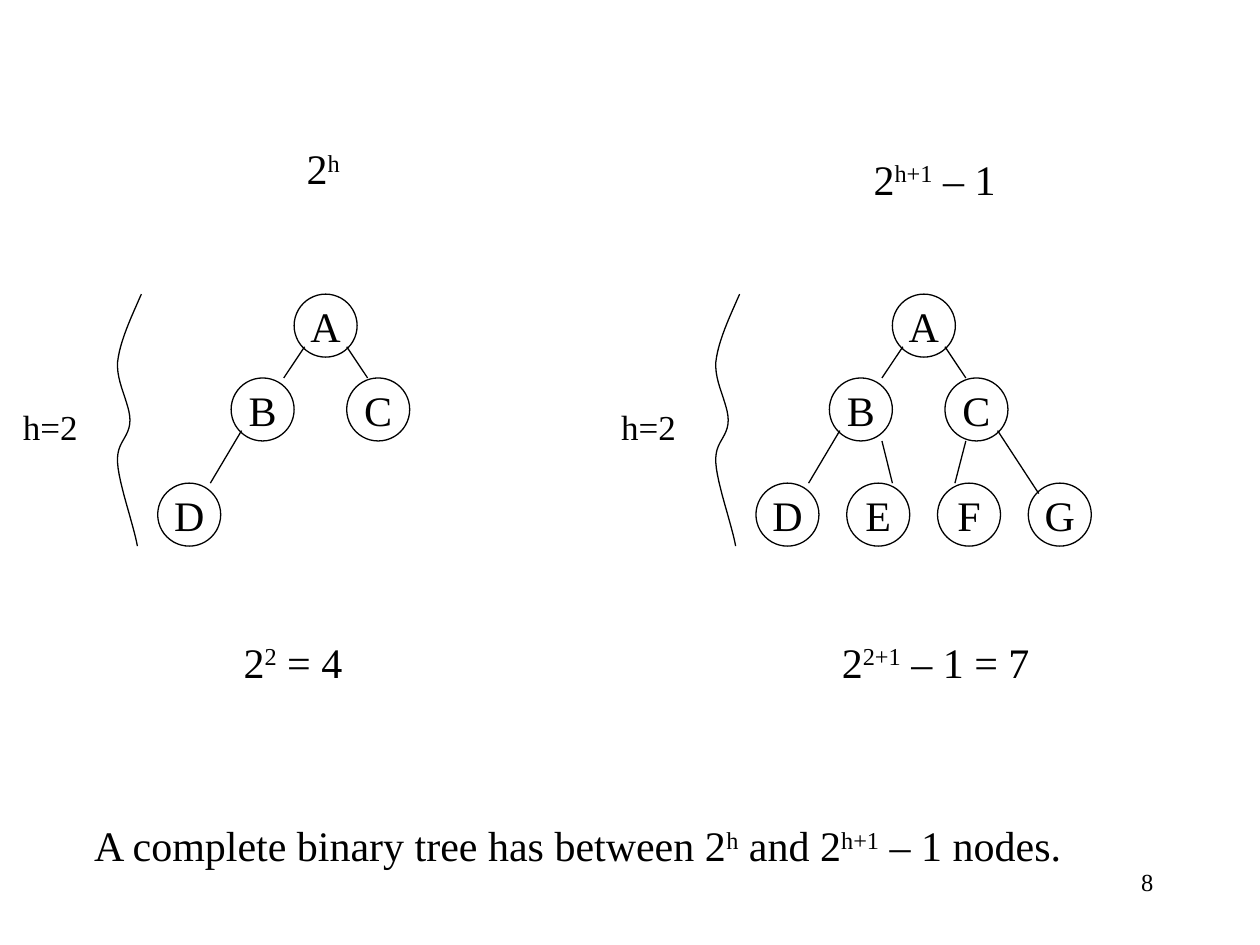
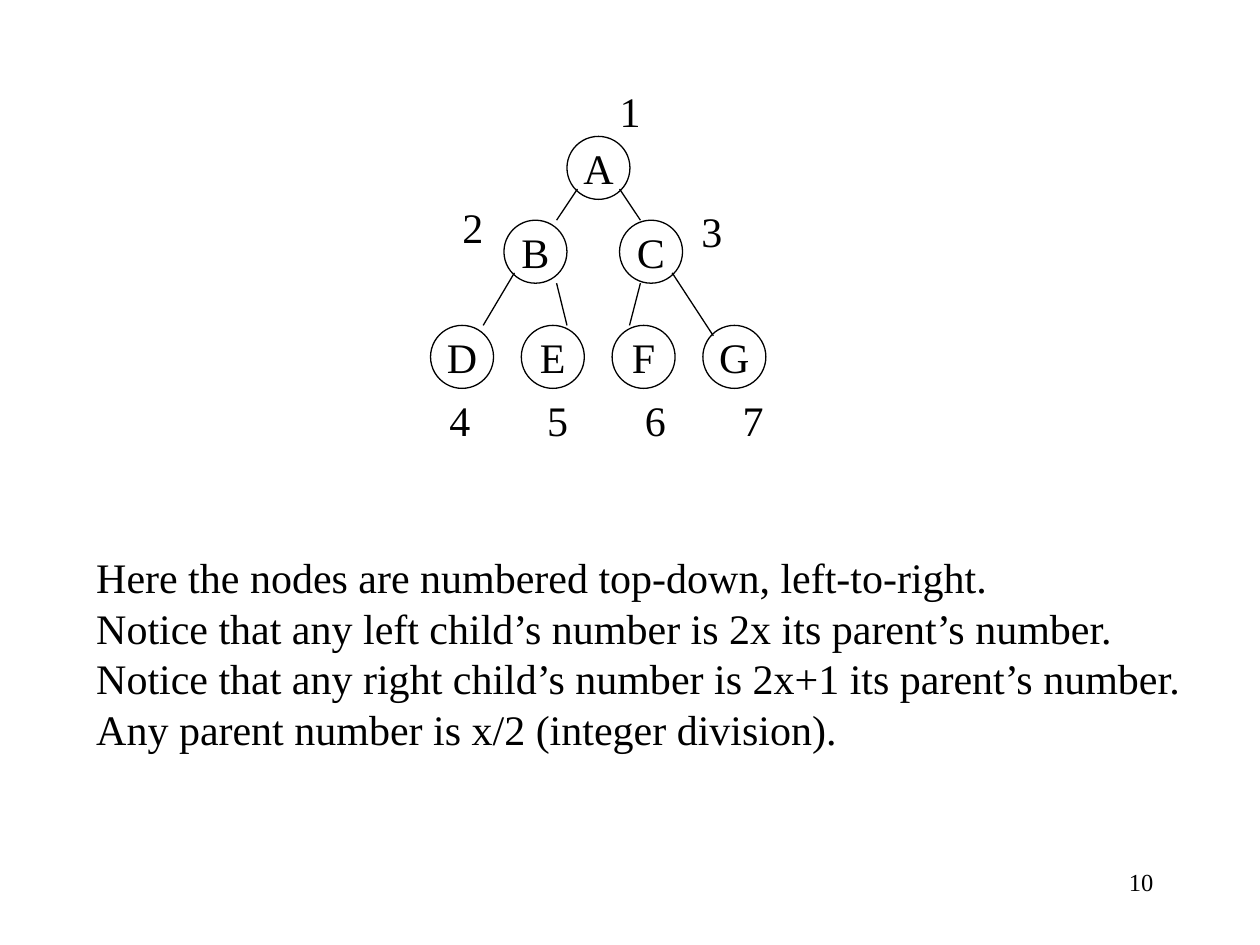
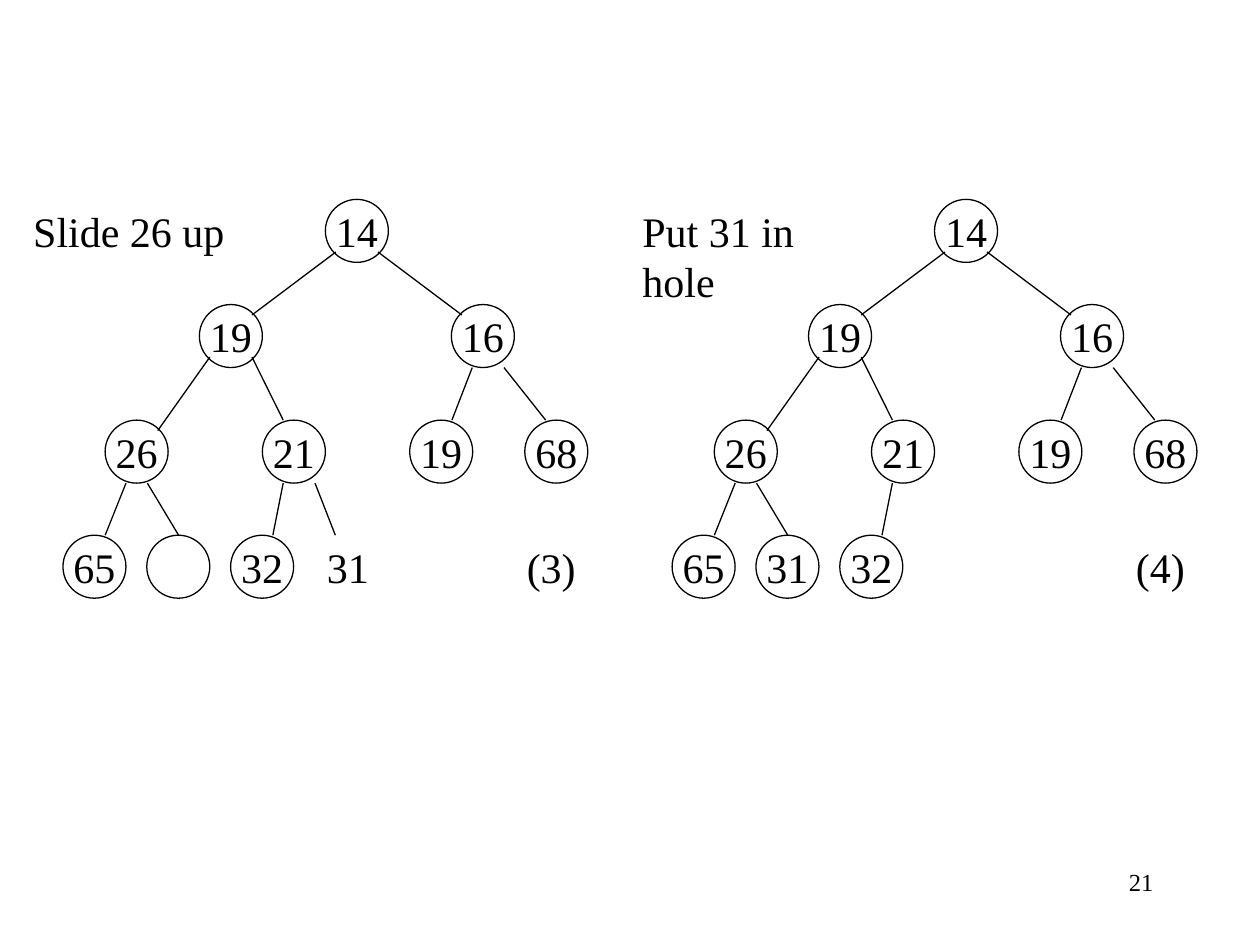
"""Build three slides on complete binary trees and heaps."""
from dataclasses import dataclass

from lxml import etree
from pptx import Presentation
from pptx import util as u
from pptx.dml.color import RGBColor
from pptx.enum import shapes, text
from pptx.oxml.ns import qn


@dataclass(frozen=True)
class Theme:
    font: str = "Times New Roman"
    ink: RGBColor = RGBColor(0, 0, 0)
    body: int = 24
    height: int = 20
    number: int = 14
    rule: float = 0.75
    node: float = 1.27
    line: float = 1.27


THEME = Theme()

SMALL_TREE = {
    "places": {1: (2.75, 0), 2: (1.48, 1.69), 3: (3.81, 1.69),
               **{4 + i: (1.83 * i, 3.81) for i in range(4)}},
    "ports": {2: ((0.21, 1.06), (1.06, 0)), 3: ((1.06, 1.06), (0.42, 0)),
              4: ((0.21, 1.06), (1.06, 0)), 5: ((1.06, 1.27), (0.92, 0)),
              6: ((0.42, 1.27), (0.35, 0)), 7: ((1.06, 1.06), (0.21, 0.21))},
}
HEAP = {
    "places": {1: (5.29, 0), 2: (2.75, 2.12), 3: (7.83, 2.12),
               4: (0.85, 4.45), 5: (4.02, 4.45), 6: (6.99, 4.45), 7: (9.31, 4.45),
               **{8 + i: (1.69 * i, 6.77) for i in range(4)}},
    "ports": {2: ((0.21, 1.06), (1.06, 0.21)), 3: ((1.06, 1.06), (0.21, 0.21)),
              4: ((0.21, 1.06), (1.06, 0.21)), 5: ((1.06, 1.06), (0.42, 0)),
              6: ((0.42, 1.27), (0.85, 0)), 7: ((1.06, 1.27), (0.42, 0)),
              8: ((0.42, 1.27), (0.85, 0)), 9: ((0.85, 1.27), (0.64, 0)),
              10: ((0.42, 1.27), (0.85, 0)), 11: ((1.06, 1.27), (0.42, 0))},
}
BRACE_START = (0.51, 0)
BRACE_CURVES = [
    ((0.3, 0.48), (0.08, 0.94), (0.03, 1.37)),
    ((0, 1.78), (0.28, 2.21), (0.28, 2.54)),
    ((0.28, 2.9), (0, 2.97), (0.03, 3.4)),
    ((0.05, 3.81), (0.36, 4.67), (0.43, 5.08)),
]

SLIDES = [
    {"number": "8",
     "trees": [
         {"form": SMALL_TREE, "at": (3.18, 5.93), "labels": "ABCD", "height": "h=2"},
         {"form": SMALL_TREE, "at": (15.24, 5.93), "labels": "ABCDEFG", "height": "h=2"}],
     "notes": [
         ((5.93, 2.75, 1.22), ["2^h"]),
         ((4.66, 12.7, 2.54), ["2^2^ = 4"]),
         ((17.36, 2.96, 3.1), ["2^h+1^ – 1"]),
         ((16.72, 12.7, 4.42), ["2^2+1^ – 1 = 7"]),
         ((1.65, 16.4, 20.4),
          ["A complete binary tree has between 2^h^ and 2^h+1^ – 1 nodes. "])]},
    {"number": "10",
     "trees": [{"form": SMALL_TREE, "at": (8.68, 2.75), "labels": "ABCDEFG"}],
     "notes": [
         ((1.69, 11, 22.48),
          ["Here the nodes are numbered top-down, left-to-right.",
           "Notice that any left child’s number is 2x its parent’s number.",
           "Notice that any right child’s number is 2x+1 its parent’s number.",
           "Any parent number is x/2 (integer division)."]),
         ((12.24, 1.6, 0.94), ["1"]),
         ((9.07, 3.94, 0.94), ["2"]),
         ((13.89, 4.01, 0.94), ["3"]),
         *[((8.81 + 1.97 * i, 7.82, 0.94), [str(4 + i)]) for i in range(4)]]},
    {"number": "21",
     "trees": [
         {"form": HEAP, "at": (1.27, 4.02), "loose": 11,
          "labels": ["14", "19", "16", "26", "21", "19", "68", "65", "", "32", "31"]},
         {"form": HEAP, "at": (13.55, 4.02),
          "labels": ["14", "19", "16", "26", "21", "19", "68", "65", "31", "32"]}],
     "notes": [
         ((10.37, 10.79, 1.5), ["(3)"]),
         ((22.65, 10.79, 1.5), ["(4)"]),
         ((0.42, 4.02, 4.37), ["Slide 26 up"]),
         ((12.7, 4.02, 3.56), ["Put 31 in", "hole"])]},
]


def shift(origin, offset):
    return origin[0] + offset[0], origin[1] + offset[1]


def cm(*lengths):
    return [u.Cm(length) for length in lengths]


def write(paragraph, words, size=THEME.body, align=text.PP_ALIGN.LEFT):
    paragraph.alignment = align
    for order, part in enumerate(words.split("^")):
        if part:
            run = paragraph.add_run()
            run.text = part
            run.font.name = THEME.font
            run.font.size = u.Pt(size)
            run.font.color.rgb = THEME.ink
            if order % 2:
                run.font._element.set("baseline", "30000")


def add_note(slide, place, lines, size=THEME.body, align=text.PP_ALIGN.LEFT, wrap=False):
    left, top, width = place
    tall = 0.25 + len(lines) * size * 0.0423
    frame = slide.shapes.add_textbox(*cm(left, top, width, tall)).text_frame
    frame.word_wrap = wrap
    if not wrap:
        frame.auto_size = text.MSO_AUTO_SIZE.SHAPE_TO_FIT_TEXT
    for order, words in enumerate(lines):
        write(frame.add_paragraph() if order else frame.paragraphs[0], words, size, align)


def ink_line(shape):
    shape.line.color.rgb = THEME.ink
    shape.line.width = u.Pt(THEME.rule)


def add_node(slide, place, label):
    node = slide.shapes.add_shape(
        shapes.MSO_SHAPE.OVAL, *cm(*place, THEME.node, THEME.node))
    node.shadow.inherit = False
    node.fill.background()
    ink_line(node)
    frame = node.text_frame
    frame.word_wrap = False
    frame.vertical_anchor = text.MSO_ANCHOR.MIDDLE
    write(frame.paragraphs[0], label, align=text.PP_ALIGN.CENTER)


def add_branch(slide, start, end):
    branch = slide.shapes.add_connector(
        shapes.MSO_CONNECTOR.STRAIGHT, *cm(*start, *end))
    ink_line(branch)
    etree.SubElement(branch._element.spPr, qn("a:effectLst"))


def curve_points(start, curves, steps=12):
    for first, second, end in curves:
        for step in range(1, steps + 1):
            t = step / steps
            weights = ((1 - t) ** 3, 3 * t * (1 - t) ** 2, 3 * t * t * (1 - t), t ** 3)
            yield tuple(sum(w * p[axis] for w, p in zip(weights, (start, first, second, end)))
                        for axis in (0, 1))
        start = end


def add_brace(slide, origin):
    builder = slide.shapes.build_freeform(*cm(*shift(origin, BRACE_START)))
    builder.add_line_segments(
        [cm(*shift(origin, point)) for point in curve_points(BRACE_START, BRACE_CURVES)],
        close=False)
    brace = builder.convert_to_shape()
    brace.shadow.inherit = False
    brace.fill.background()
    ink_line(brace)


def add_tree(slide, form, at, labels, height=None, loose=None):
    places = {index: shift(at, place) for index, place in form["places"].items()}
    for index, label in enumerate(labels, 1):
        if index == loose:
            add_note(slide, (*places[index], 1.35), [label])
        else:
            add_node(slide, places[index], label)
        if index > 1:
            leave, arrive = form["ports"][index]
            add_branch(slide, shift(places[index // 2], leave), shift(places[index], arrive))
    if height:
        add_brace(slide, shift(at, (-0.84, 0)))
        add_note(slide, (*shift(at, (-2.97, 2.12)), 1.63), [height], THEME.height)


def build():
    deck = Presentation()
    deck.slide_width, deck.slide_height = cm(25.4, 19.05)
    for content in SLIDES:
        slide = deck.slides.add_slide(deck.slide_layouts[6])
        add_note(slide, (18.84, 17.36, 4.66), [content["number"]], THEME.number,
                 text.PP_ALIGN.RIGHT, wrap=True)
        for tree in content["trees"]:
            add_tree(slide, **tree)
        for place, lines in content["notes"]:
            add_note(slide, place, lines)
    deck.save("out.pptx")


build()
